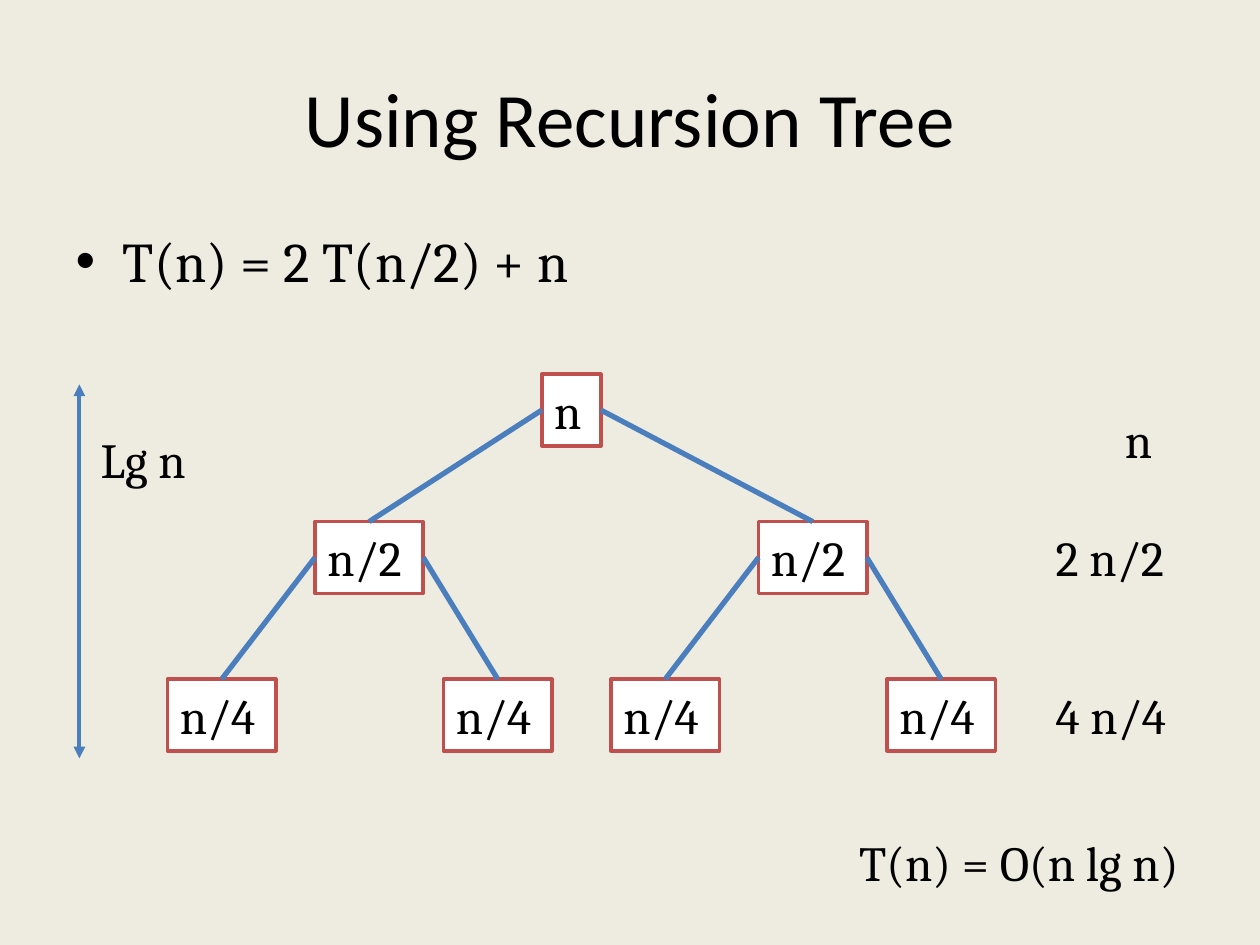
from dataclasses import dataclass

from lxml.etree import SubElement
from pptx import Presentation
from pptx.dml.color import RGBColor
from pptx.enum.shapes import MSO_CONNECTOR, MSO_SHAPE
from pptx.enum.text import MSO_ANCHOR, MSO_AUTO_SIZE, PP_ALIGN
from pptx.oxml.ns import qn
from pptx.util import Inches, Pt


@dataclass(frozen=True)
class Theme:
    """Colours, fonts and sizes of the slide."""
    background = RGBColor(0xEE, 0xEC, 0xE1)
    ink = RGBColor(0, 0, 0)
    node_fill = RGBColor(0xFF, 0xFF, 0xFF)
    node_line = RGBColor(0xC0, 0x50, 0x4D)
    edge = RGBColor(0x4B, 0x7E, 0xBC)
    title_font = "Calibri"
    body_font = "Cambria"
    title_size = Pt(44)
    body_size = Pt(32)
    label_size = Pt(28)


THEME = Theme()
ROW_HEIGHT = 0.57
LEVEL_TOPS = (0, 1.17, 2.42)


def style_paragraph(paragraph, name, size, alignment=PP_ALIGN.LEFT):
    """Set the font and alignment of a paragraph."""
    paragraph.alignment = alignment
    paragraph.font.name = name
    paragraph.font.size = size
    paragraph.font.color.rgb = THEME.ink


def fill_placeholder(placeholder, box, text, name, size, alignment):
    """Move a placeholder to its box and write its text."""
    placeholder.left, placeholder.top, placeholder.width, placeholder.height = map(Inches, box)
    placeholder.text_frame.text = text
    style_paragraph(placeholder.text_frame.paragraphs[0], name, size, alignment)


def write_label(shape, text):
    """Write a label-size line at the top left of a shape."""
    frame = shape.text_frame
    frame.word_wrap = True
    frame.auto_size = MSO_AUTO_SIZE.SHAPE_TO_FIT_TEXT
    frame.vertical_anchor = MSO_ANCHOR.TOP
    frame.text = text
    style_paragraph(frame.paragraphs[0], THEME.body_font, THEME.label_size)


def add_label(slide, left, top, width, text):
    """Add a free-standing label."""
    box = slide.shapes.add_textbox(Inches(left), Inches(top), Inches(width), Inches(ROW_HEIGHT))
    write_label(box, text)


def add_node(slide, left, top, width, text):
    """Add a boxed tree node and return it."""
    node = slide.shapes.add_shape(MSO_SHAPE.RECTANGLE, Inches(left), Inches(top),
                                  Inches(width), Inches(ROW_HEIGHT))
    node.shadow.inherit = False
    node.fill.solid()
    node.fill.fore_color.rgb = THEME.node_fill
    node.line.color.rgb = THEME.node_line
    node.line.width = Pt(2)
    write_label(node, text)
    return node


def add_line(slide, start, end, width):
    """Add a straight line without shadow and return it."""
    line = slide.shapes.add_connector(MSO_CONNECTOR.STRAIGHT, *map(Inches, start + end))
    line.line.color.rgb = THEME.edge
    line.line.width = Pt(width)
    SubElement(line._element.spPr, qn("a:effectLst"))
    return line


def join_children(slide, parent, children):
    """Join the left and right sides of a parent to the tops of its children."""
    top_site, left_site, right_site = 0, 1, 3
    for site, child in zip((left_site, right_site), children):
        edge = add_line(slide, (0, 0), (0, 0), 3)
        edge.begin_connect(parent, site)
        edge.end_connect(child, top_site)


def add_tree(slide, left, top):
    """Draw the three levels of the recursion tree from its top left corner."""
    node_width = 0.86
    root_top, half_top, quarter_top = (top + offset for offset in LEVEL_TOPS)
    root = add_node(slide, left + 2.97, root_top, 0.47, "n")
    halves = []
    for half_left in (left + 1.17, left + 4.69):
        half = add_node(slide, half_left, half_top, node_width, "n/2")
        quarters = [add_node(slide, half_left + shift, quarter_top, node_width, "n/4")
                    for shift in (-1.17, 1.02)]
        join_children(slide, half, quarters)
        halves.append(half)
    join_children(slide, root, halves)


def add_level_costs(slide, left, top):
    """List the cost of each level beside the tree."""
    add_label(slide, left + 0.55, top + 0.23, 0.78, "n")
    for offset, text in zip(LEVEL_TOPS[1:], ("2 n/2", "4 n/4")):
        add_label(slide, left, top + offset, 1.33, text)


def add_depth_arrow(slide, left, top, height):
    """Mark the depth of the tree with a double arrow and its label."""
    arrow = add_line(slide, (left, top), (left, top + height), 2.25)
    outline = arrow.line._get_or_add_ln()
    for end in ("a:headEnd", "a:tailEnd"):
        SubElement(outline, qn(end), type="triangle")
    add_label(slide, left + 0.07, top + 0.31, 1.17, "Lg n")


def build_recursion_slide(presentation):
    """Build the slide with the equation, tree and result."""
    slide = presentation.slides.add_slide(presentation.slide_layouts[1])
    slide.background.fill.solid()
    slide.background.fill.fore_color.rgb = THEME.background
    fill_placeholder(slide.shapes.title, (0.5, 0.3, 9, 1.25), "Using Recursion Tree",
                     THEME.title_font, THEME.title_size, PP_ALIGN.CENTER)
    fill_placeholder(slide.placeholders[1], (0.5, 1.75, 9, 5.39), "T(n) = 2 T(n/2) + n",
                     THEME.body_font, THEME.body_size, PP_ALIGN.LEFT)
    tree_top = 2.97
    add_tree(slide, 1.33, tree_top)
    add_level_costs(slide, 8.28, tree_top)
    add_depth_arrow(slide, 0.63, 3.05, 2.97)
    add_label(slide, 6.72, 6.56, 3.05, "T(n) = O(n lg n)")


presentation = Presentation()
presentation.slide_width, presentation.slide_height = Inches(10), Inches(7.5)
build_recursion_slide(presentation)
presentation.save("out.pptx")
